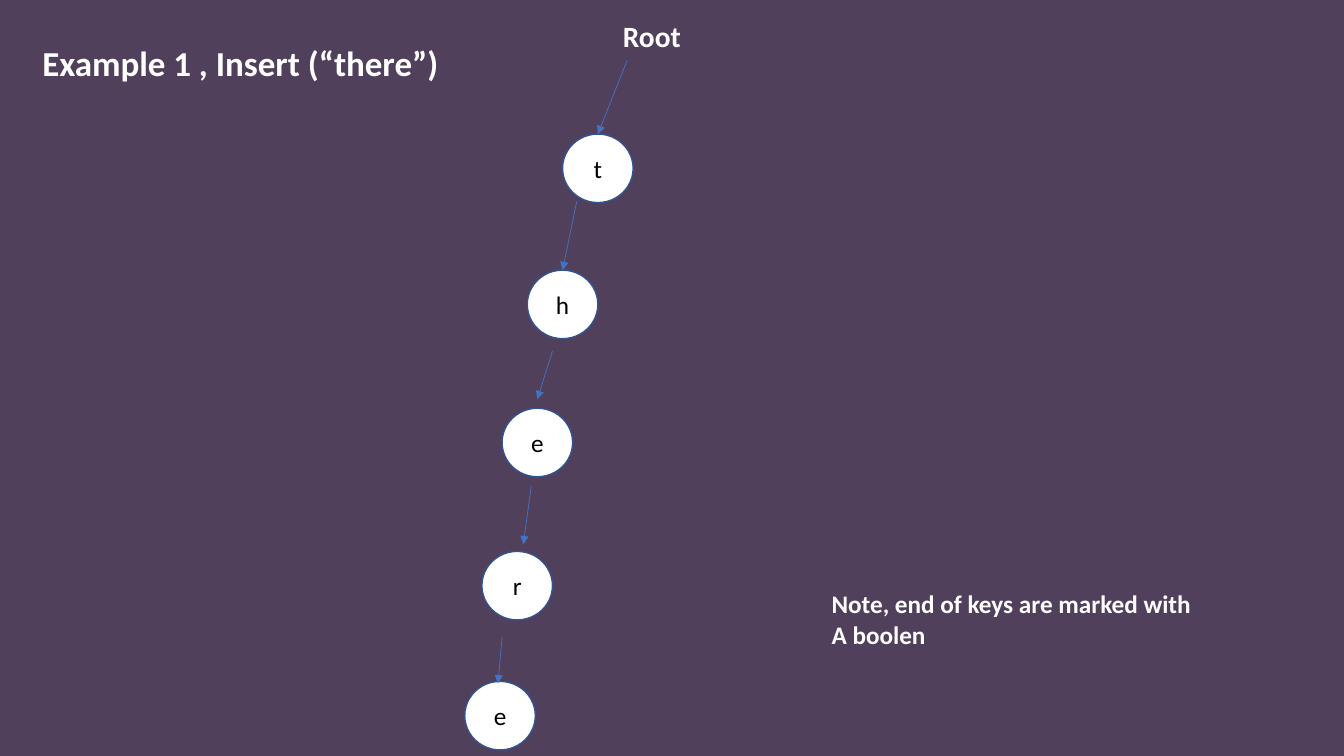
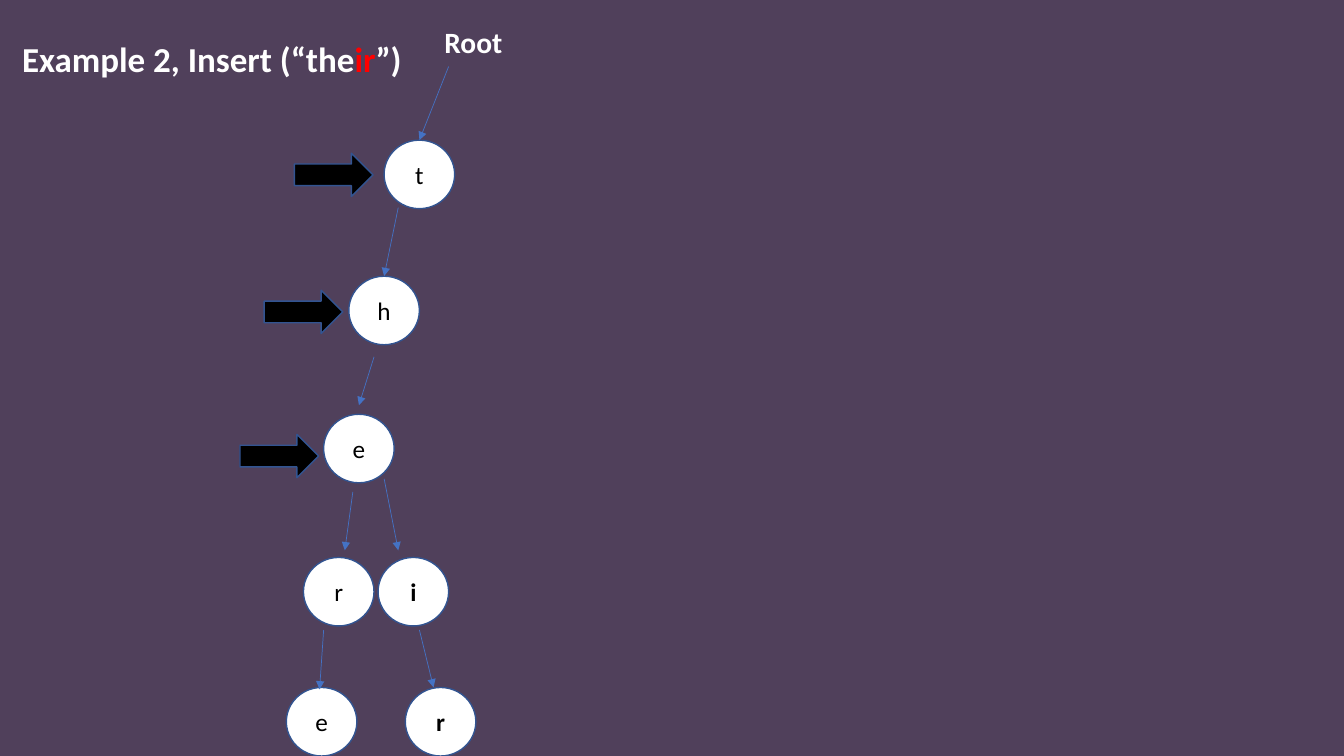
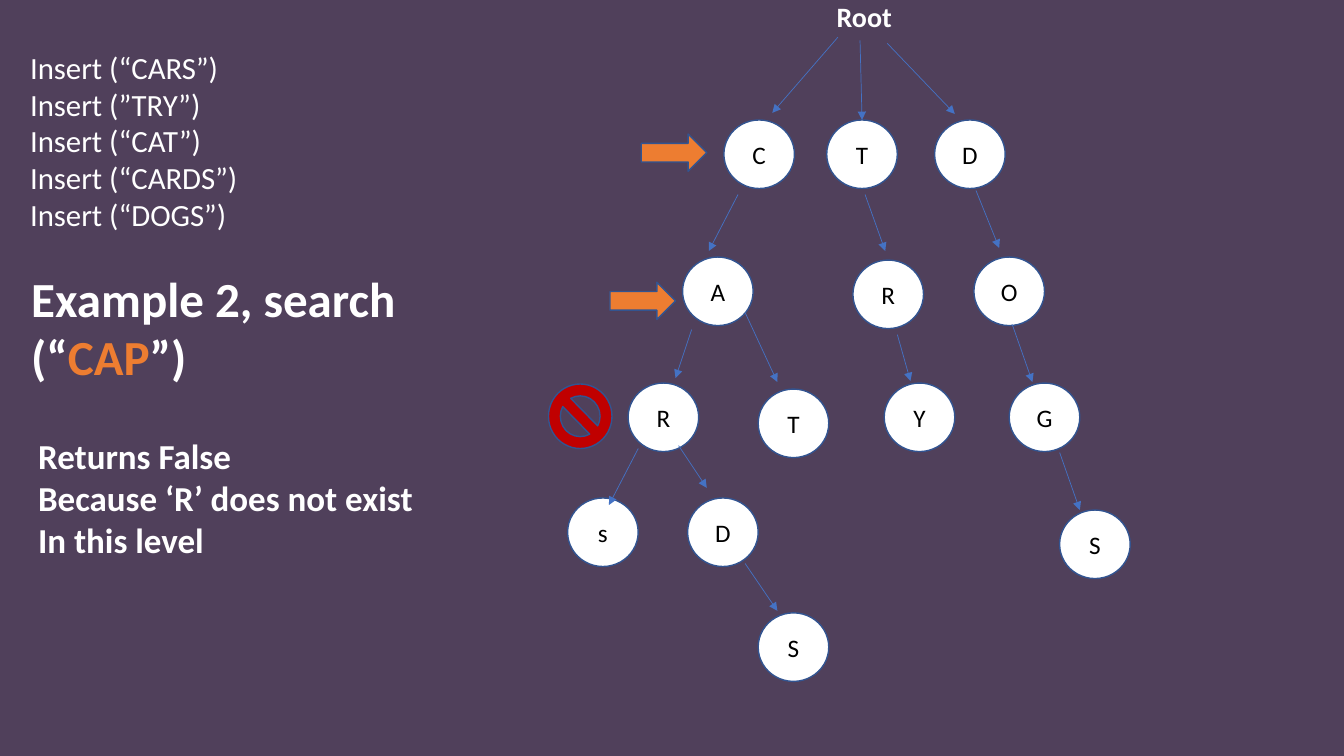
from lxml import etree
from pptx import Presentation
from pptx.dml.color import RGBColor
from pptx.enum.shapes import MSO_CONNECTOR, MSO_SHAPE
from pptx.enum.text import MSO_ANCHOR, MSO_AUTO_SIZE, PP_ALIGN
from pptx.oxml.ns import qn
from pptx.util import Inches, Pt

STRAIGHT = MSO_CONNECTOR.STRAIGHT
ELLIPSE = MSO_SHAPE.OVAL
ARROW = MSO_SHAPE.RIGHT_ARROW
FORBIDDEN = MSO_SHAPE.NO_SYMBOL
TITLE_ONLY = 5

COLORS = {
    "background": "50405B",
    "white": "FFFFFF",
    "black": "000000",
    "link": "4472C4",
    "outline": "325491",
    "new": "FF0000",
    "search": "ED7D31",
    "stop": "C00000",
}
TEXT_FRAME = {"auto_size": MSO_AUTO_SIZE.SHAPE_TO_FIT_TEXT, "vertical_anchor": MSO_ANCHOR.TOP}
NODE_FRAME = {"word_wrap": True, "vertical_anchor": MSO_ANCHOR.MIDDLE}
LEFT = {"alignment": PP_ALIGN.LEFT, "line_spacing": 1.0}
CENTER = {"alignment": PP_ALIGN.CENTER}
NODE_SIZE = (0.7, 0.68)

CHAIN_NODES = [
    ("t", 5.58, 1.33), ("h", 5.23, 2.68), ("e", 4.98, 4.05),
    ("r", 4.78, 5.47), ("e", 4.61, 6.76),
]
CHAIN_LINKS = [
    (6.22, 0.6, 5.93, 1.33), (5.72, 2, 5.58, 2.68),
    (5.48, 3.48, 5.33, 3.96), (5.27, 4.82, 5.19, 5.4),
]
SEARCH_NODES = [
    ("C", 7.18, 1.19), ("T", 8.2, 1.19), ("D", 9.27, 1.19),
    ("A", 6.77, 2.55), ("R", 8.46, 2.58), ("O", 9.66, 2.55),
    ("R", 6.23, 3.8), ("T", 7.52, 3.86), ("Y", 8.77, 3.8), ("G", 10.01, 3.8),
    ("s", 5.63, 4.94), ("D", 6.82, 4.94), ("S", 10.51, 5.06), ("S", 7.52, 6.08),
]
SEARCH_LINKS = [
    (8.31, 0.37, 7.66, 1.12), (8.53, 0.4, 8.55, 1.19), (8.8, 0.43, 9.47, 1.13),
    (7.32, 1.93, 7.03, 2.49), (8.58, 1.93, 8.78, 2.49), (9.68, 1.89, 9.91, 2.46),
    (6.86, 3.27, 6.7, 3.75), (7.39, 3.1, 7.71, 3.79),
    (8.9, 3.32, 9.03, 3.78), (10.04, 3.22, 10.24, 3.79),
    (6.33, 4.45, 6.04, 5.01), (6.73, 4.42, 7.01, 4.84),
    (10.51, 4.49, 10.71, 5.06), (7.39, 5.59, 7.71, 6.06),
]


def color(name):
    return RGBColor.from_string(COLORS[name])


def apply(target, values):
    for name, value in values.items():
        setattr(target, name, value)


class Deck:
    def __init__(self):
        self.deck = Presentation()
        self.deck.slide_width = Inches(13.33)
        self.deck.slide_height = Inches(7.5)
        fill = self.deck.slide_master.background.fill
        fill.solid()
        fill.fore_color.rgb = color("background")
        self.page = None

    def new_page(self):
        self.page = self.deck.slides.add_slide(self.deck.slide_layouts[TITLE_ONLY])

    def set_lines(self, frame, lines, size, ink="white", bold=False, layout=LEFT):
        for index, line in enumerate(lines):
            para = frame.add_paragraph() if index else frame.paragraphs[0]
            apply(para, layout)
            spans = [(line, ink)] if isinstance(line, str) else line
            for text, span_ink in spans:
                span = para.add_run()
                span.text = text
                apply(span.font, {"name": "Calibri", "size": Pt(size), "bold": bold})
                span.font.color.rgb = color(span_ink)

    def title(self, place, spans, size=25):
        box = self.page.shapes.title
        apply(box, dict(zip(("left", "top", "width", "height"), map(Inches, place))))
        apply(box.text_frame, {**TEXT_FRAME, "word_wrap": True})
        self.set_lines(box.text_frame, [spans], size, bold=True)

    def text(self, place, lines, size, bold=True, wrap=False):
        box = self.page.shapes.add_textbox(*map(Inches, place))
        apply(box.text_frame, {**TEXT_FRAME, "word_wrap": wrap})
        self.set_lines(box.text_frame, lines, size, bold=bold)

    def shape(self, kind, place, fill):
        shape = self.page.shapes.add_shape(kind, *map(Inches, place))
        shape.shadow.inherit = False
        shape.fill.solid()
        shape.fill.fore_color.rgb = color(fill)
        shape.line.color.rgb = color("outline")
        shape.line.width = Pt(1)
        return shape

    def node(self, letter, left, top, bold=False):
        frame = self.shape(ELLIPSE, (left, top, *NODE_SIZE), "white").text_frame
        apply(frame, NODE_FRAME)
        self.set_lines(frame, [letter], 18, "black", bold, CENTER)

    def link(self, *ends):
        line = self.page.shapes.add_connector(STRAIGHT, *map(Inches, ends))
        line.line.color.rgb = color("link")
        line.line.width = Pt(0.5)
        properties = line._element.spPr
        etree.SubElement(properties.find(qn("a:ln")), qn("a:tailEnd"), type="triangle")
        etree.SubElement(properties, qn("a:effectLst"))

    def tree(self, nodes, links, bold=False):
        for node in nodes:
            self.node(*node, bold=bold)
        for link in links:
            self.link(*link)

    def there_chain(self, right=0, down=0, last_link_top=6.32):
        self.text((6.08 + right, 0.13 + down, 0.78, 0.45), ["Root"], 21)
        links = CHAIN_LINKS + [(4.98, last_link_top - down, 4.94, 6.78)]
        self.tree(
            [(letter, left + right, top + down) for letter, left, top in CHAIN_NODES],
            [(x1 + right, y1 + down, x2 + right, y2 + down) for x1, y1, x2, y2 in links],
        )

    def insert_there(self):
        self.new_page()
        self.title((0.32, 0.36, 4.82, 0.52), "Example 1 , Insert (“there”)")
        self.there_chain()
        self.text((8.15, 5.79, 3.8, 0.71), ["Note, end of keys are marked with", "A boolen"], 18)

    def insert_their(self):
        self.new_page()
        self.title(
            (0.12, 0.32, 4.82, 0.52),
            [("Example 2, Insert (“the", "white"), ("ir", "new"), ("”)", "white")],
        )
        self.there_chain(-1.77, 0.06, 6.25)
        self.tree(
            [("i", 3.75, 5.53), ("r", 4.02, 6.82)],
            [(3.81, 4.75, 3.95, 5.46), (4.16, 6.25, 4.3, 6.82)],
            bold=True,
        )
        for left, top in [(2.92, 1.52), (2.62, 2.88), (2.38, 4.31)]:
            self.shape(ARROW, (left, top, 0.78, 0.43), "black")

    def search_cap(self):
        self.new_page()
        self.title(
            (0.21, 2.61, 5.14, 1.28),
            [("Example 2, search (“", "white"), ("CAP", "search"), ("”)", "white")],
            size=35,
        )
        self.text((8.2, -0.05, 0.75, 0.44), ["Root"], 20)
        self.tree(SEARCH_NODES, SEARCH_LINKS)
        for left, top in [(6.36, 1.33), (6.05, 2.8)]:
            self.shape(ARROW, (left, top, 0.65, 0.37), "search")
        self.shape(FORBIDDEN, (5.44, 3.81, 0.63, 0.64), "stop")
        self.text(
            (0.2, 0.43, 4.89, 1.95),
            ["Insert (“CARS”)", "Insert (”TRY”)", "Insert (“CAT”)",
             "Insert (“CARDS”)", "Insert (“DOGS”)"],
            22, bold=False, wrap=True,
        )
        self.text(
            (0.28, 4.26, 4.04, 1.36),
            ["Returns False", "Because ‘R’ does not exist", "In this level"],
            25,
        )


def main():
    deck = Deck()
    deck.insert_there()
    deck.insert_their()
    deck.search_cap()
    deck.deck.save("out.pptx")


if __name__ == "__main__":
    main()
